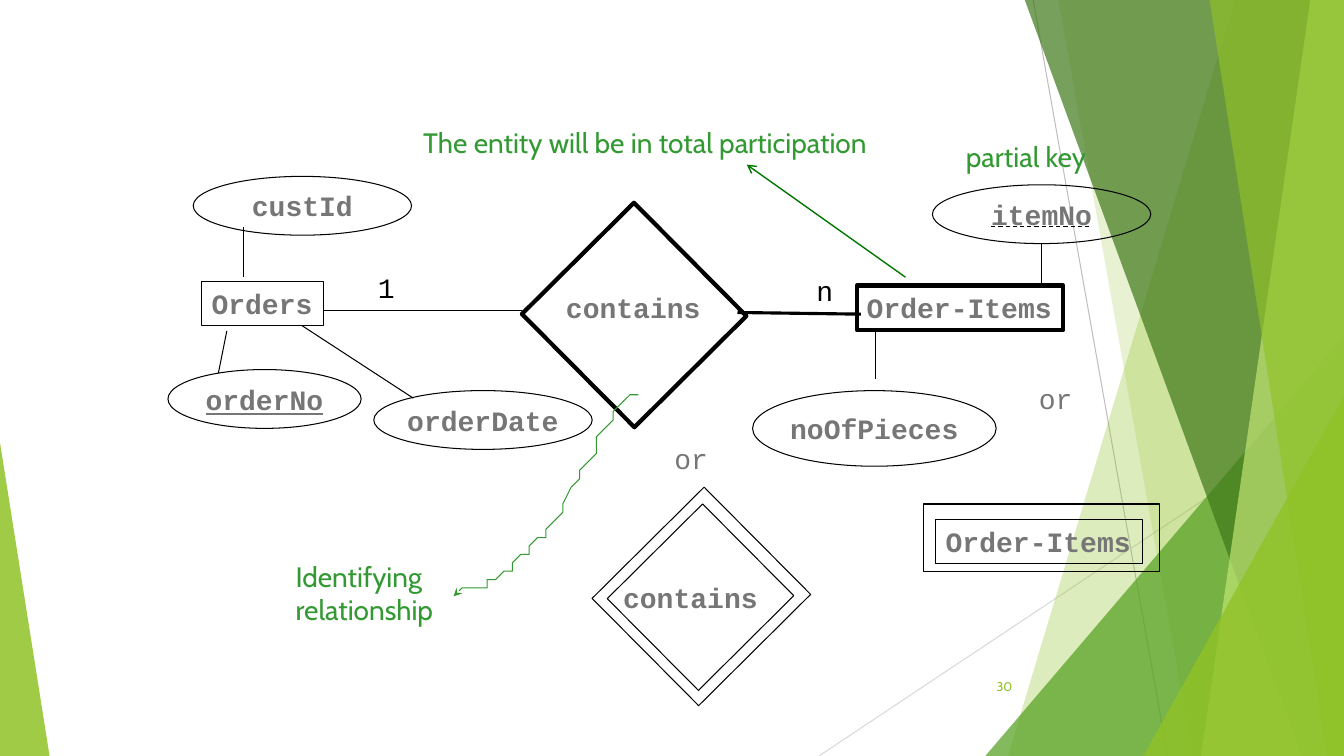
from dataclasses import dataclass

from lxml.etree import SubElement
from pptx import Presentation
from pptx.dml.color import RGBColor
from pptx.enum.dml import MSO_LINE
from pptx.enum.shapes import MSO_CONNECTOR, MSO_SHAPE
from pptx.enum.text import MSO_ANCHOR, PP_ALIGN
from pptx.oxml.ns import qn
from pptx.util import Emu, Inches, Pt


@dataclass(frozen=True)
class Theme:
    black: str = "000000"
    grey: str = "767676"
    green: str = "339933"
    arrow: str = "007800"
    lime: str = "90C226"
    leaf: str = "54A021"
    forest: str = "3F7819"
    pale: str = "C0E474"
    silver: str = "BFBFBF"
    mist: str = "D9D9D9"
    code: str = "Courier New"
    prose: str = "Cabin"
    body: int = 20
    small: int = 9
    thin: float = 0.75
    thick: float = 3


THEME = Theme()
ENTITY = {"name": THEME.code, "size": Pt(THEME.body), "bold": True, "color": THEME.grey}
KEY = ENTITY | {"underline": True}
OPTION = ENTITY | {"bold": False}
CARDINALITY = OPTION | {"color": THEME.black}
NOTE = OPTION | {"name": THEME.prose, "color": THEME.green}
NUMBER = NOTE | {"size": Pt(THEME.small), "color": THEME.lime}


class Diagram:
    columns, rows = 160, 90

    def __init__(self, presentation):
        self.theme = THEME
        self.slide = presentation.slides.add_slide(presentation.slide_layouts[6])
        self.shapes = self.slide.shapes
        self.unit = presentation.slide_width / self.columns

    def grid(self, *values):
        return [Emu(round(value * self.unit)) for value in values]

    def outline(self, item, colour, width):
        item.line.color.rgb = RGBColor.from_string(colour)
        item.line.width = Pt(width)

    def arrowhead(self, item, kind):
        line = item.element.spPr.find(qn("a:ln"))
        SubElement(line, qn("a:tailEnd"), type=kind)

    def tint(self, shape, colour, opacity):
        shape.shadow.inherit = False
        shape.fill.solid()
        shape.fill.fore_color.rgb = RGBColor.from_string(colour)
        shape.line.fill.background()
        colour_node = shape.element.spPr.find(qn("a:solidFill"))[0]
        SubElement(colour_node, qn("a:alpha"), val=str(opacity * 1000))

    def band(self, top, bottom, colour, opacity):
        builder = self.shapes.build_freeform(top, 0, scale=self.unit)
        corners = [(self.columns, 0), (self.columns, self.rows), (bottom, self.rows)]
        builder.add_line_segments(corners, close=True)
        self.tint(builder.convert_to_shape(), colour, opacity)

    def triangle(self, left, top, width, apex, colour, opacity):
        box = self.grid(left, top, width, self.rows - top)
        shape = self.shapes.add_shape(MSO_SHAPE.ISOSCELES_TRIANGLE, *box)
        shape.adjustments[0] = apex
        self.tint(shape, colour, opacity)

    def line(self, *ends, colour=THEME.black, width=THEME.thin, dash=None, head=None):
        connector = self.shapes.add_connector(MSO_CONNECTOR.STRAIGHT, *self.grid(*ends))
        self.outline(connector, colour, width)
        if dash:
            connector.line.dash_style = dash
        if head:
            self.arrowhead(connector, head)
        SubElement(connector.element.spPr, qn("a:effectLst"))

    def curve(self, start, *segments, steps=16):
        builder = self.shapes.build_freeform(*start, scale=self.unit)
        for first, second, end in segments:
            points = []
            for step in range(1, steps + 1):
                t = step / steps
                weights = ((1 - t) ** 3, 3 * t * (1 - t) ** 2, 3 * t * t * (1 - t), t ** 3)
                nodes = (start, first, second, end)
                points.append([sum(w * node[axis] for w, node in zip(weights, nodes))
                               for axis in (0, 1)])
            builder.add_line_segments(points, close=False)
            start = end
        shape = builder.convert_to_shape()
        shape.shadow.inherit = False
        shape.fill.background()
        self.outline(shape, self.theme.green, self.theme.thin)
        self.arrowhead(shape, "stealth")

    def label(self, shape, text, style, align=PP_ALIGN.LEFT, anchor=MSO_ANCHOR.TOP, wrap=False):
        frame = shape.text_frame
        frame.word_wrap = wrap
        frame.vertical_anchor = anchor
        for index, words in enumerate(text.split("\n")):
            paragraph = frame.add_paragraph() if index else frame.paragraphs[0]
            paragraph.alignment = align
            run = paragraph.add_run()
            run.text = words
            for name, value in style.items():
                if name == "color":
                    run.font.color.rgb = RGBColor.from_string(value)
                else:
                    setattr(run.font, name, value)

    def text(self, left, top, width, height, words, style, **layout):
        box = self.shapes.add_textbox(*self.grid(left, top, width, height))
        self.label(box, words, style, **layout)

    def figure(self, kind, *box, width=THEME.thin, rotation=0):
        shape = self.shapes.add_shape(kind, *self.grid(*box))
        shape.shadow.inherit = False
        shape.fill.background()
        shape.rotation = rotation
        self.outline(shape, self.theme.black, width)
        return shape

    def entity(self, left, top, width, words, line=THEME.thin):
        shape = self.figure(MSO_SHAPE.RECTANGLE, left, top, width, 5.3, width=line)
        self.label(shape, words, ENTITY)

    def attribute(self, left, top, width, height, words, style=ENTITY):
        shape = self.figure(MSO_SHAPE.OVAL, left, top, width, height)
        self.label(shape, words, style, align=PP_ALIGN.CENTER, anchor=MSO_ANCHOR.MIDDLE)

    def diamond(self, *box, width=THEME.thin):
        self.figure(MSO_SHAPE.RECTANGLE, *box, width=width, rotation=45.2)


def draw_backdrop(diagram):
    diagram.line(123, 0, 139, 90, colour=THEME.silver)
    diagram.line(160, 48.4, 97.5, 90, colour=THEME.mist)
    diagram.band(147.4, 120.5, THEME.lime, 30)
    diagram.band(126, 142, THEME.lime, 20)
    diagram.triangle(117.3, 40, 42.7, 1, THEME.leaf, 72)
    diagram.band(122.5, 155, THEME.forest, 70)
    diagram.band(156.4, 143, THEME.pale, 70)
    diagram.band(143.5, 158.2, THEME.lime, 65)
    diagram.triangle(136.1, 47.2, 23.9, 1, THEME.lime, 80)
    diagram.triangle(0, 52.7, 5.9, 0, THEME.lime, 85)


def draw_relationship(diagram):
    diagram.entity(24, 33.5, 14.5, "Orders")
    diagram.entity(102, 34, 24.6, "Order-Items", line=THEME.thick)
    diagram.diamond(66, 28.1, 19, 18.8, width=THEME.thick)
    diagram.text(66.2, 34, 18.6, 5.3, "contains", ENTITY)
    diagram.line(102.5, 37.4, 87.8, 37.2, width=2.25)
    diagram.attribute(111, 22, 26, 7, "itemNo")
    diagram.attribute(23, 21, 26, 7, "custId")
    diagram.attribute(44.5, 46.5, 26, 7, "orderDate")
    diagram.attribute(20, 44, 23, 7, "orderNo", KEY)
    diagram.attribute(89.6, 46.5, 29, 9, "noOfPieces")
    for ends in ((62.2, 37, 38.6, 37), (27, 39.4, 26, 44.4), (29, 33, 29, 27),
                 (36, 38.8, 49.2, 47.4), (104.2, 45.1, 104.2, 39.4), (124, 34, 124, 29)):
        diagram.line(*ends)
    diagram.line(118, 27, 130, 27, dash=MSO_LINE.DASH)
    diagram.text(43.8, 31.6, 4.4, 5.3, "1", CARDINALITY)
    diagram.text(96, 32, 4.4, 5.3, "n", CARDINALITY)


def draw_alternatives(diagram):
    diagram.diamond(74.5, 61.6, 18, 18.8)
    diagram.diamond(75.7, 63.1, 15.4, 16)
    diagram.text(73, 68.5, 18.6, 5.3, "contains", ENTITY)
    diagram.entity(111.4, 61.8, 24.6, "Order-Items")
    diagram.figure(MSO_SHAPE.RECTANGLE, 110, 60, 28, 8)
    for left, top in ((79.1, 52), (122.5, 44.8)):
        diagram.text(left, top, 6.5, 5.3, "or", OPTION)


def draw_notes(diagram):
    diagram.text(113.8, 16, 20.5, 5.3, "partial key", NOTE, wrap=True)
    diagram.text(34, 66, 26, 9.2, "Identifying\nrelationship", NOTE, wrap=True)
    diagram.text(49.2, 14.3, 64.6, 5.3, "The entity will be in total participation", NOTE, wrap=True)
    diagram.curve((75.5, 46.6), ((71.9, 50), (68.4, 59.4), (64.8, 63.5)),
                  ((61.1, 67.9), (57.2, 70.6), (53.5, 70.6)))
    diagram.line(107.8, 33, 88.9, 19.6, colour=THEME.arrow, width=1, head="arrow")
    diagram.text(112.7, 79.3, 9, 4.8, "30", NUMBER, align=PP_ALIGN.RIGHT,
                 anchor=MSO_ANCHOR.MIDDLE, wrap=True)


def main():
    presentation = Presentation()
    presentation.slide_width, presentation.slide_height = Inches(40 / 3), Inches(7.5)
    diagram = Diagram(presentation)
    draw_backdrop(diagram)
    draw_relationship(diagram)
    draw_alternatives(diagram)
    draw_notes(diagram)
    presentation.save("out.pptx")


if __name__ == "__main__":
    main()
